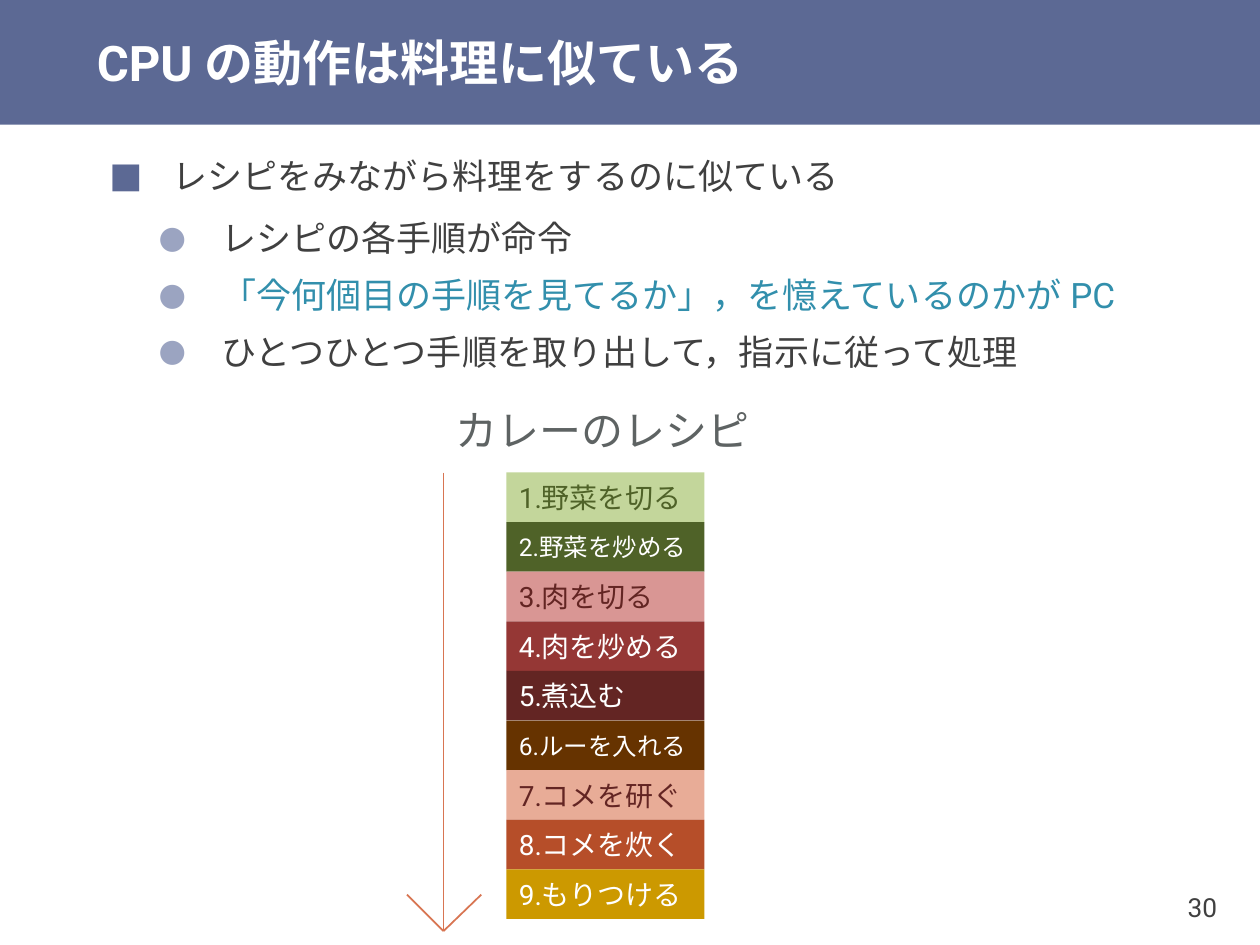
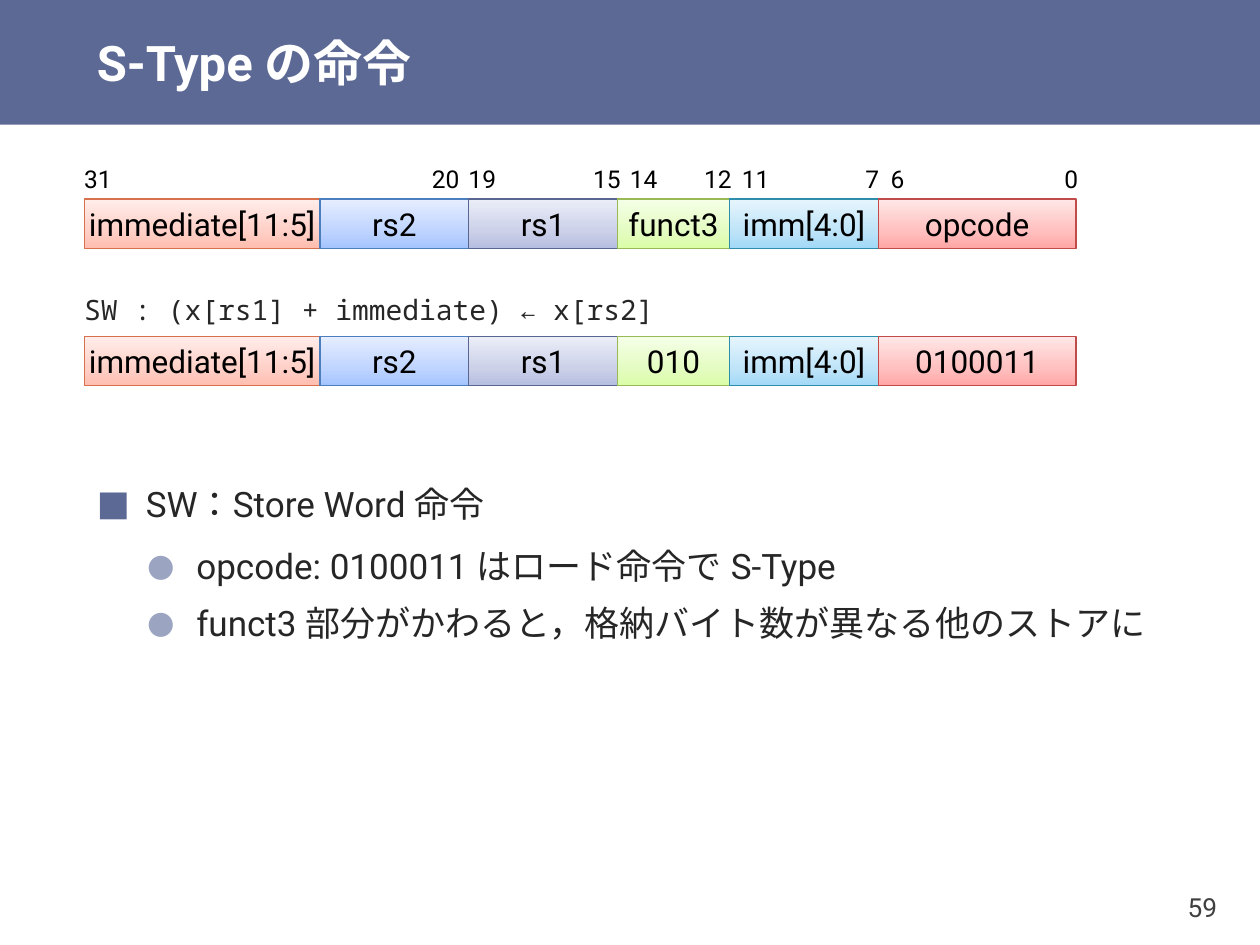
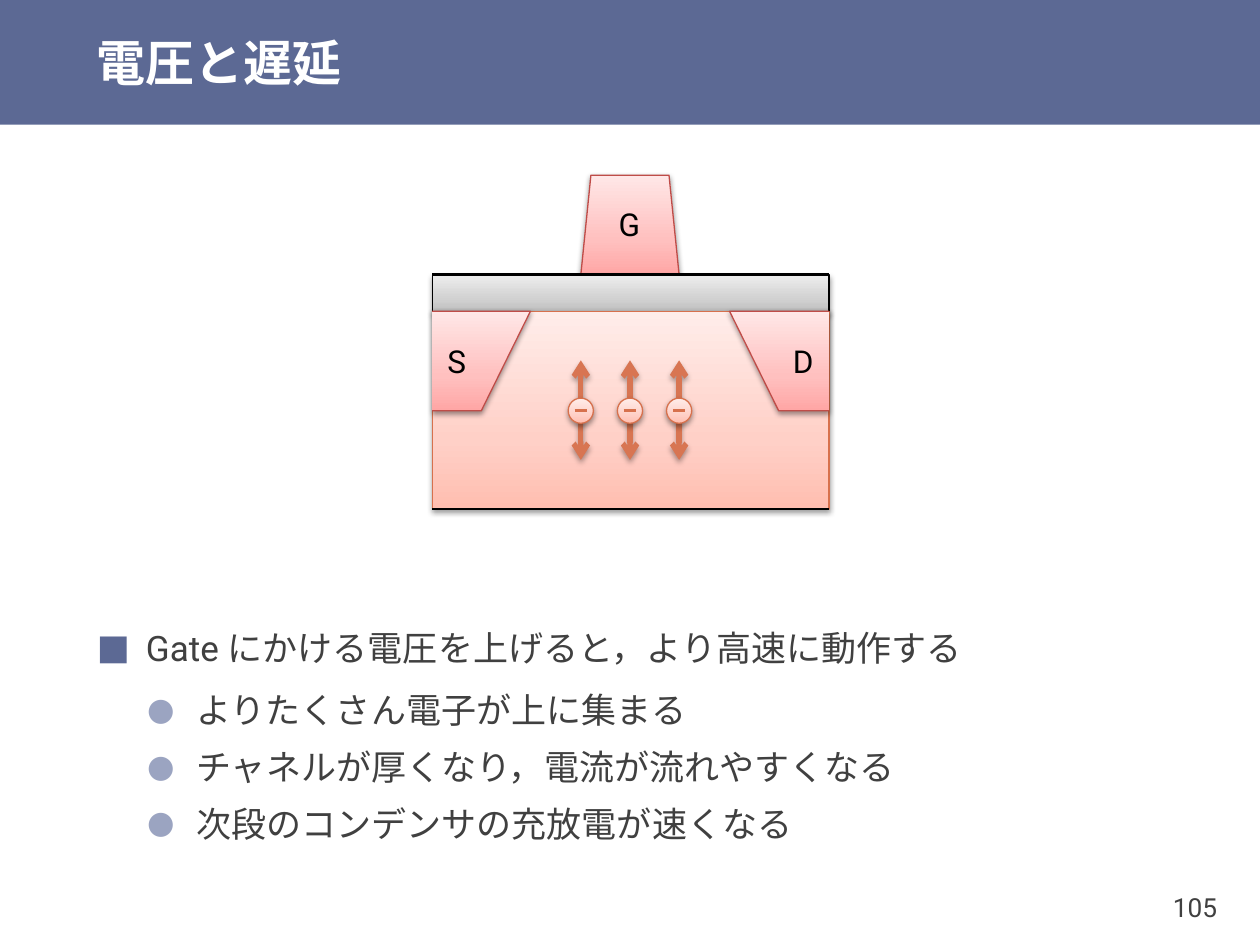
from copy import deepcopy
from itertools import accumulate

from lxml.etree import SubElement
from pptx import Presentation
from pptx.dml.color import RGBColor
from pptx.enum.lang import MSO_LANGUAGE_ID
from pptx.enum.shapes import MSO_CONNECTOR, MSO_SHAPE
from pptx.enum.text import MSO_ANCHOR, MSO_AUTO_SIZE, PP_ALIGN
from pptx.oxml.ns import qn
from pptx.util import Inches, Pt

FONT, CODE_FONT = "Roboto", "Noto Sans Mono"
BAND, BULLET, BLACK, WHITE = "5C6994", "9BA4C1", "000000", "FFFFFF"
BODY, DARK_BODY, HIGHLIGHT, CAPTION = "404040", "262626", "328FAC", "5E6363"
ARROW = "D87552"

# Each theme: gradient colours from bottom to top, then the outline
PEACH = ("FFBEB0", "FFD0C7", "FFEDEA", "D7714D")
BLUE = ("A4C4FF", "BFD4FF", "E6EEFF", "4B7EBC")
VIOLET = ("B6BEE1", "CCD1E9", "EBEDF7", "596692")
GREEN = ("DAFDA7", "E4FCC2", "F5FFE7", "98B955")
CYAN = ("A2D9F7", "BFE4F8", "E6F5FD", "2E8DAB")
RED = ("FFA6A5", "FFC0BF", "FFE7E7", "BF4C48")
GREY = ("BDBDBD", "D1D1D1", "EEEEEE", BLACK)

RECIPE = [
    ("1.野菜を切る", 16, "C3D69B", "4F6228"),
    ("2.野菜を炒める", 14, "4F6228", WHITE),
    ("3.肉を切る", 16, "D99694", "632523"),
    ("4.肉を炒める", 16, "953735", WHITE),
    ("5.煮込む", 16, "632523", WHITE),
    ("6.ルーを入れる", 14, "663300", WHITE),
    ("7.コメを研ぐ", 16, "E8AC97", "632523"),
    ("8.コメを炊く", 16, "B64E29", WHITE),
    ("9.もりつける", 16, "CC9900", WHITE),
]
FIELD_WIDTHS = [1.87, 1.18, 1.18, 0.89, 1.18, 1.57]
FIELD_THEMES = [PEACH, BLUE, VIOLET, GREEN, CYAN, RED]
BIT_LABELS = [("31", 0.57), ("20", 3.33), ("19", 3.62), ("15", 4.61), ("14", 4.9),
              ("12", 5.49), ("11", 5.79), ("7", 6.77), ("6", 6.97), ("0", 8.35)]


def rgb(hex_colour):
    return RGBColor.from_string(hex_colour)


def style_runs(paragraph, size, colour, font=FONT, bold=False):
    for run in paragraph.runs:
        run.font.size = Pt(size)
        run.font.name = font
        run.font.bold = bold
        run.font.color.rgb = rgb(colour)
        run.font.language_id = MSO_LANGUAGE_ID.JAPANESE
        east_asian = SubElement(run.font._element, qn("a:ea"))
        east_asian.set("typeface", font)


def write(shape, text, size, colour, align=PP_ALIGN.LEFT, anchor=MSO_ANCHOR.MIDDLE,
          font=FONT, bold=False, margins=(0.1, 0.05)):
    """Put one unwrapped line of text in a shape; margins are (side, top and bottom)."""
    frame = shape.text_frame
    frame.text = text
    frame.word_wrap = False
    frame.auto_size = MSO_AUTO_SIZE.NONE
    frame.vertical_anchor = anchor
    frame.margin_left = frame.margin_right = Inches(margins[0])
    frame.margin_top = frame.margin_bottom = Inches(margins[1])
    frame.paragraphs[0].alignment = align
    style_runs(frame.paragraphs[0], size, colour, font, bold)


def add_label(slide, box, text, size, colour, **options):
    label = slide.shapes.add_textbox(*map(Inches, box))
    write(label, text, size, colour, **options)


def add_flat_box(slide, box, colour):
    flat = slide.shapes.add_shape(MSO_SHAPE.RECTANGLE, *map(Inches, box))
    flat.shadow.inherit = False
    flat.fill.solid()
    flat.fill.fore_color.rgb = rgb(colour)
    flat.line.fill.background()
    return flat


def cast_shadow(effects, opacity, distance):
    shadow = SubElement(effects, qn("a:outerShdw"), blurRad=str(Pt(3.1)),
                        dist=str(Pt(distance)), dir="5400000", rotWithShape="0")
    colour = SubElement(shadow, qn("a:srgbClr"), val=BLACK)
    SubElement(colour, qn("a:alpha"), val=str(opacity * 1000))


def paint(shape, theme, shadow=False):
    """Give a shape the gradient and outline of a theme."""
    *stop_colours, outline = theme
    shape.shadow.inherit = False
    shape.fill.gradient()
    shape.fill.gradient_angle = 90
    properties = shape._element.spPr
    stops = properties.find(".//" + qn("a:gsLst"))
    stops.append(deepcopy(stops[0]))
    for stop, position, colour in zip(shape.fill.gradient_stops, (0, 0.35, 1), stop_colours):
        stop.position = position
        stop.color.rgb = rgb(colour)
    shape.line.color.rgb = rgb(outline)
    shape.line.width = Pt(0.75)
    if shadow:
        cast_shadow(properties.find(qn("a:effectLst")), 38, 1.6)


def add_gradient_shape(slide, box, theme, kind=MSO_SHAPE.RECTANGLE, shadow=False):
    shape = slide.shapes.add_shape(kind, *map(Inches, box))
    paint(shape, theme, shadow)
    return shape


def add_region(slide, points, close=False):
    start, *others = [(Inches(x), Inches(y)) for x, y in points]
    builder = slide.shapes.build_freeform(*start)
    builder.add_line_segments(others, close=close)
    paint(builder.convert_to_shape(), RED, shadow=True)


def add_line(slide, start, end, colour, width, double_arrow=False):
    line = slide.shapes.add_connector(MSO_CONNECTOR.STRAIGHT, *map(Inches, start + end))
    line.line.color.rgb = rgb(colour)
    line.line.width = Pt(width)
    effects = SubElement(line._element.spPr, qn("a:effectLst"))
    if double_arrow:
        for tip in ("a:headEnd", "a:tailEnd"):
            SubElement(line.line._get_or_add_ln(), qn(tip), type="arrow")
        cast_shadow(effects, 35, 1.8)


def add_bullet(paragraph, symbol, colour, left, hanging, scale):
    properties = paragraph._p.get_or_add_pPr()
    properties.set("marL", str(Inches(left)))
    properties.set("indent", str(Inches(-hanging)))
    bullet_colour = SubElement(properties, qn("a:buClr"))
    SubElement(bullet_colour, qn("a:srgbClr"), val=colour)
    SubElement(properties, qn("a:buSzPct"), val=str(scale * 1000))
    SubElement(properties, qn("a:buFont"), typeface=FONT)
    SubElement(properties, qn("a:buChar"), char=symbol)


def add_body(slide, box, lines, colour=BODY, anchor=MSO_ANCHOR.MIDDLE,
             lefts=(0.39, 0.79), hanging=0.39, highlighted=None):
    """Write a heading line followed by second-level points."""
    frame = slide.shapes.add_textbox(*map(Inches, box)).text_frame
    frame.text = "\n".join(lines)
    frame.word_wrap = True
    frame.auto_size = MSO_AUTO_SIZE.NONE
    frame.vertical_anchor = anchor
    for index, paragraph in enumerate(frame.paragraphs):
        if index == 0:
            add_bullet(paragraph, "■", BAND, lefts[0], hanging, 100)
            paragraph.space_after = Pt(6)
        else:
            paragraph.level = 1
            add_bullet(paragraph, "●", BULLET, lefts[1], hanging, 90)
            paragraph.space_before = paragraph.space_after = Pt(3)
        paragraph.line_spacing = 1.1
        style_runs(paragraph, 20, HIGHLIGHT if index == highlighted else colour)


def add_slide(prs, title, number):
    """Start a slide with the title band and page number."""
    slide = prs.slides.add_slide(prs.slide_layouts[6])
    add_flat_box(slide, (0, 0, 10, 0.99), BAND)
    add_label(slide, (0.67, 0, 9.33, 0.99), title, 28, WHITE, bold=True, margins=(0.1, 0))
    add_label(slide, (8.94, 6.9, 0.79, 0.6), str(number), 15, BODY,
              align=PP_ALIGN.RIGHT, margins=(0.07, 0.04))
    return slide


def add_instruction(slide, top, names):
    lefts = accumulate(FIELD_WIDTHS, initial=0.67)
    for left, width, theme, name in zip(lefts, FIELD_WIDTHS, FIELD_THEMES, names):
        field = add_gradient_shape(slide, (left, top, width, 0.39), theme)
        write(field, name, 18, BLACK, align=PP_ALIGN.CENTER, margins=(0, 0.05))


def build_recipe_slide(prs):
    slide = add_slide(prs, "CPU の動作は料理に似ている", 30)
    add_body(slide, (0.67, 1.19, 8.76, 1.77), [
        "レシピをみながら料理をするのに似ている",
        "レシピの各手順が命令",
        "「今何個目の手順を見てるか」，を憶えているのかが PC",
        "ひとつひとつ手順を取り出して，指示に従って処理",
    ], lefts=(0.6, 0.99), hanging=0.5, highlighted=2)
    top, step_height = 3.75, 3.15 / 8
    for index, (step, size, fill, colour) in enumerate(RECIPE):
        box = (4.02, top + index * step_height, 1.57, step_height)
        write(add_flat_box(slide, box, fill), step, size, colour)
    arrow_tip = (3.52, 7.39)
    for tail in ((3.52, top), (3.82, 7.1), (3.23, 7.1)):
        add_line(slide, tail, arrow_tip, ARROW, 1)
    add_label(slide, (3.52, 3.16, 1.77, 0.4), "カレーのレシピ", 24, CAPTION,
              anchor=MSO_ANCHOR.TOP)


def build_store_slide(prs):
    slide = add_slide(prs, "S-Type の命令", 59)
    for bit, left in BIT_LABELS:
        add_label(slide, (left, 1.29, 0.2, 0.26), bit, 14, BLACK)
    add_instruction(slide, 1.58,
                    ["immediate[11:5]", "rs2", "rs1", "funct3", "imm[4:0]", "opcode"])
    add_label(slide, (0.57, 2.27, 1.57, 0.39), "SW : (x[rs1] + immediate) ← x[rs2]", 16,
              DARK_BODY, font=CODE_FONT, anchor=MSO_ANCHOR.TOP)
    add_instruction(slide, 2.67,
                    ["immediate[11:5]", "rs2", "rs1", "010", "imm[4:0]", "0100011"])
    add_body(slide, (0.67, 3.75, 8.76, 1.38), [
        "SW：Store Word 命令",
        "opcode: 0100011 はロード命令で S-Type",
        "funct3 部分がかわると，格納バイト数が異なる他のストアに",
    ], colour=DARK_BODY, anchor=MSO_ANCHOR.TOP)


def add_electron(slide, x, y):
    radius, half_sign = 0.1, 0.05
    add_gradient_shape(slide, (x - radius, y - radius, 2 * radius, 2 * radius), PEACH,
                       MSO_SHAPE.OVAL, shadow=True)
    add_line(slide, (x - half_sign, y), (x + half_sign, y), PEACH[-1], 1.5)


def build_transistor_slide(prs):
    slide = add_slide(prs, "電圧と遅延", 105)
    add_body(slide, (0.67, 5.23, 9.06, 1.18), [
        "Gate にかける電圧を上げると，より高速に動作する",
        "よりたくさん電子が上に集まる",
        "チャネルが厚くなり，電流が流れやすくなる",
        "次段のコンデンサの充放電が速くなる",
    ])
    left, right = 3.43, 6.58
    oxide_top, channel_top, bottom = 2.18, 2.47, 4.04
    add_region(slide, [(4.61, oxide_top), (5.39, oxide_top), (5.31, 1.39), (4.69, 1.39)],
               close=True)
    add_gradient_shape(slide, (left, oxide_top, right - left, 0.3), GREY, shadow=True)
    add_gradient_shape(slide, (left, channel_top, right - left, bottom - channel_top), PEACH,
                       shadow=True)
    for edge, upper, lower in ((left, 4.21, 3.82), (right, 5.79, 6.18)):
        add_region(slide, [(edge, channel_top), (upper, channel_top),
                           (lower, 3.26), (edge, 3.26)])
    for y in (oxide_top, bottom):
        add_line(slide, (left, y), (right, y), BLACK, 1.5)
    for terminal, x, y in (("S", left, 2.67), ("D", 6.18, 2.67), ("G", 4.8, 1.58)):
        add_label(slide, (x, y, 0.39, 0.39), terminal, 18, BLACK, align=PP_ALIGN.CENTER)
    electron_columns = (4.61, 5, 5.39)
    for x in electron_columns:
        add_line(slide, (x, 2.86), (x, 3.65), ARROW, 3, double_arrow=True)
    for x in electron_columns:
        add_electron(slide, x, 3.26)


def main():
    prs = Presentation()
    prs.slide_width, prs.slide_height = Inches(10), Inches(7.5)
    build_recipe_slide(prs)
    build_store_slide(prs)
    build_transistor_slide(prs)
    prs.save("out.pptx")


if __name__ == "__main__":
    main()
